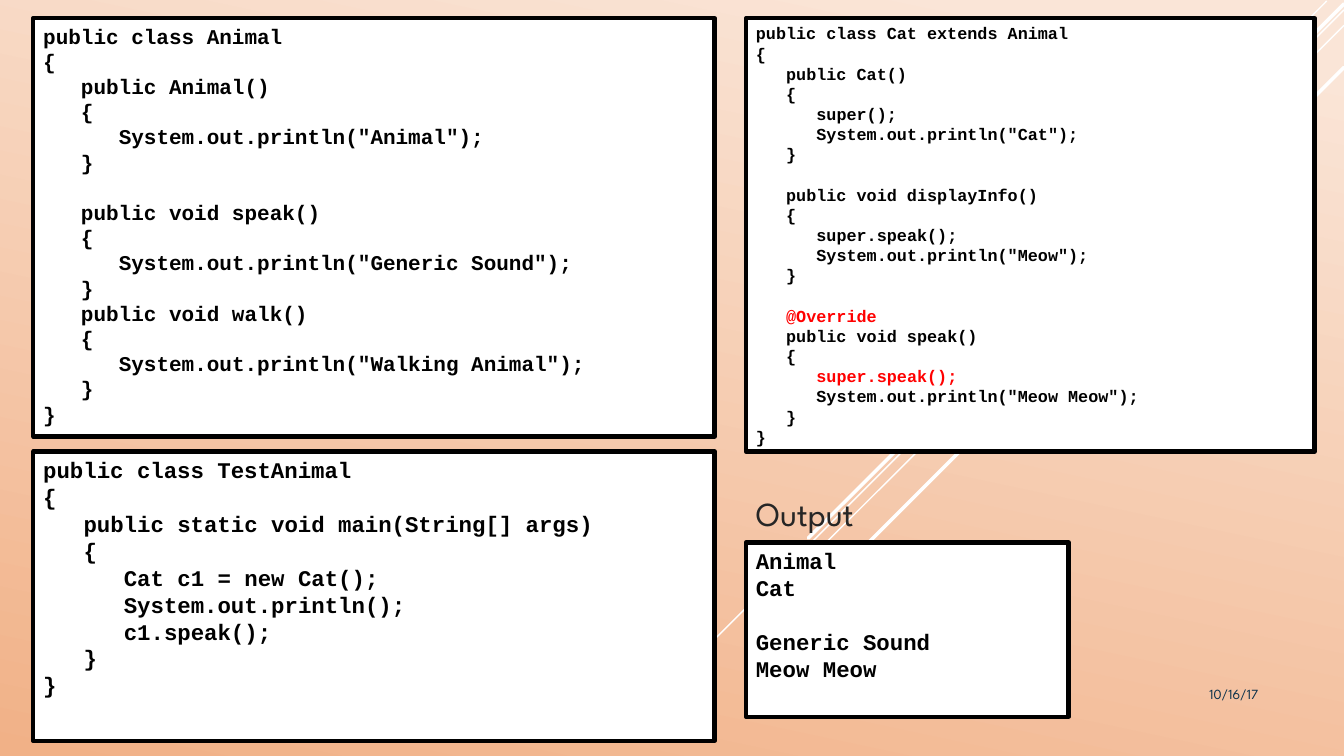
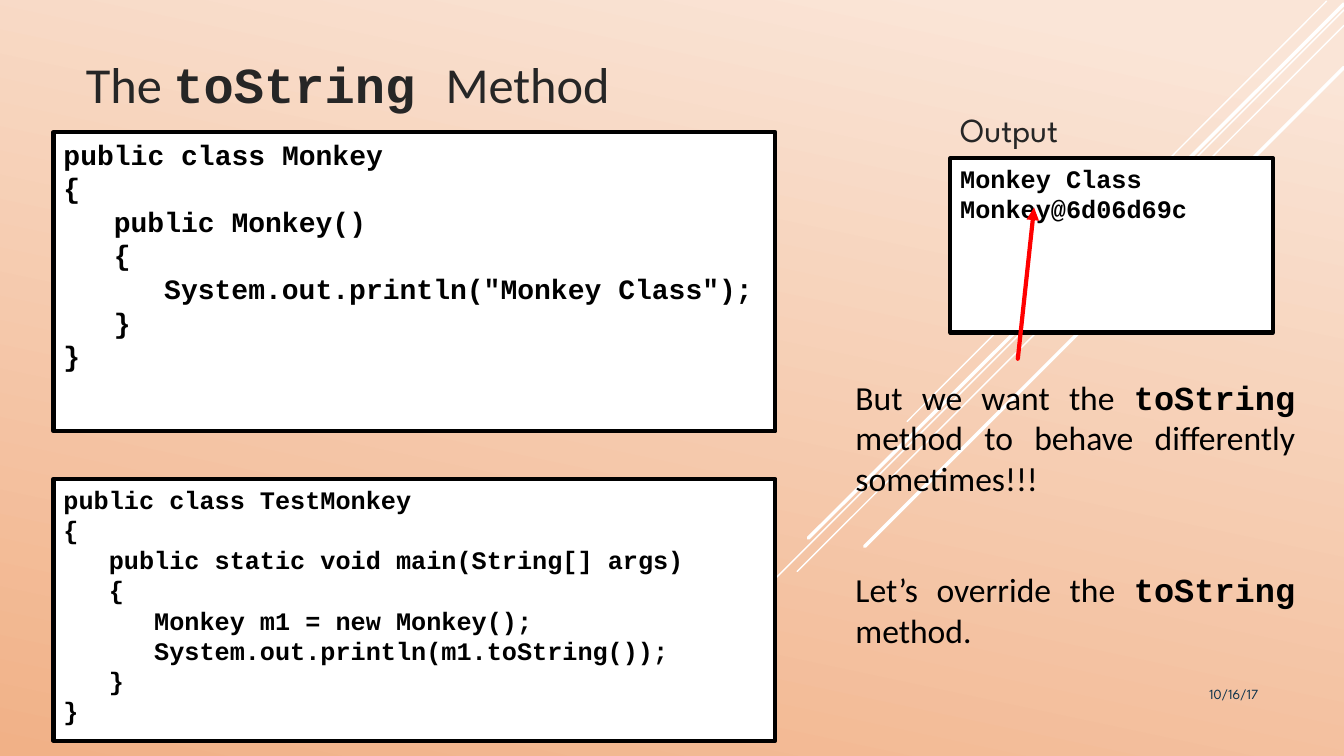
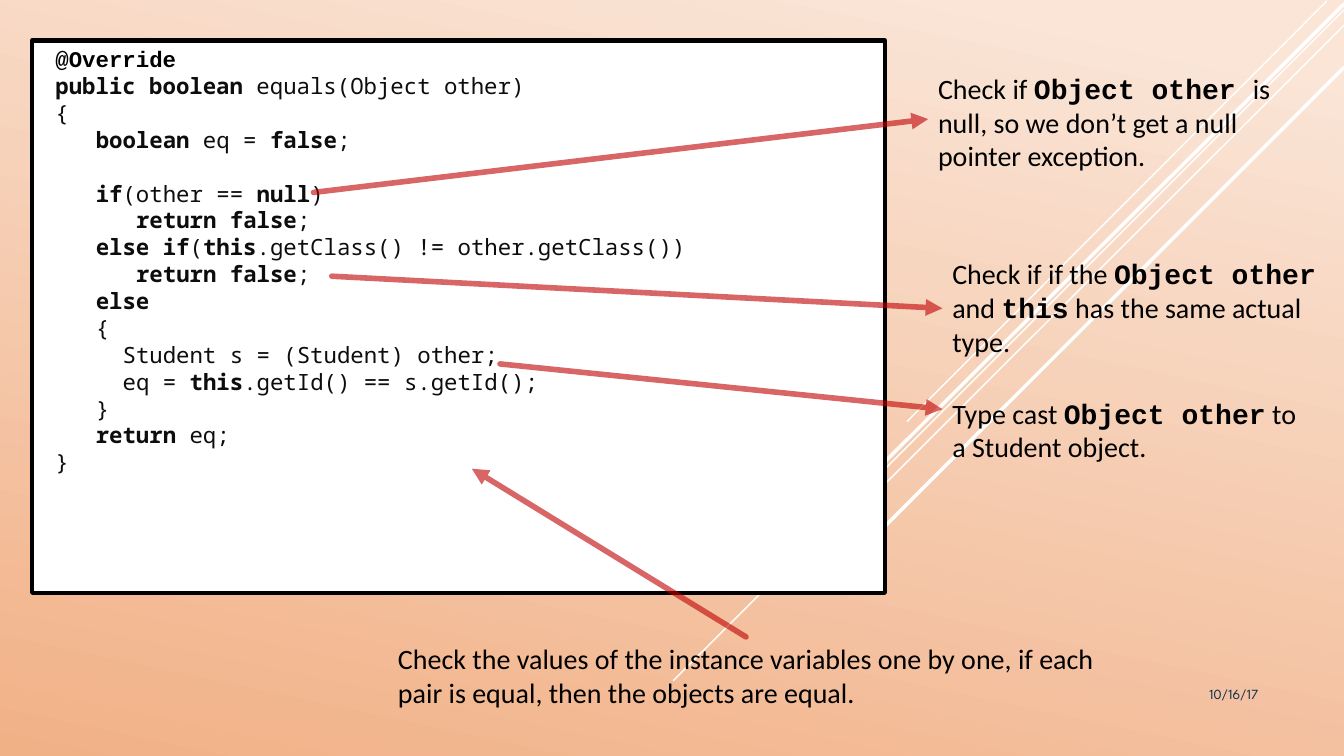
import lxml.etree
import pptx
import pptx.dml.color
import pptx.enum.shapes
import pptx.enum.text
import pptx.oxml.ns
import pptx.util

Cm = pptx.util.Cm
Pt = pptx.util.Pt
ALIGN = pptx.enum.text.PP_ALIGN

# Shared look
WHITE, BLACK, RED, DARK_RED = "FFFFFF", "000000", "FF0000", "C00000"
TITLE_GREY, NEAR_BLACK, DATE_BLUE = "262626", "0D0D0D", "0A304A"
LINE_HEIGHT = 1.2
MONO_ADVANCE = 0.6
CODE = {"name": "Courier New", "bold": True, "color": BLACK}
CODE_RED = {**CODE, "color": RED}
LISTING = {"name": "Noto Sans Mono", "bold": False, "color": NEAR_BLACK}
LISTING_BOLD = {**LISTING, "bold": True}
PROSE = {"name": "Calibri", "bold": False, "color": BLACK}
TITLE = {**PROSE, "color": TITLE_GREY}
TITLE_CODE = {**CODE, "color": TITLE_GREY}
LABEL = {"name": "League Spartan", "color": TITLE_GREY}
DATE = {"name": "League Spartan", "color": DATE_BLUE}

# White diagonal lines behind every slide: start, end, width
DIAGONALS = [
    ((33.43, 0.03), (22.86, 10.62), 1),
    ((33.87, 0.25), (16.97, 17.15), 1),
    ((33.87, 0.64), (20.09, 14.4), 1),
    ((33.87, 0.1), (20.37, 13.56), 2.5),
    ((33.87, 1.7), (21.79, 13.77), 2.5),
]

# Code; bars enclose the parts in the second style
ANIMAL = """
public class Animal
{
   public Animal()
   {
      System.out.println("Animal");
   }

   public void speak()
   {
      System.out.println("Generic Sound");
   }
   public void walk()
   {
      System.out.println("Walking Animal");
   }
}"""

CAT = """
public class Cat extends Animal
{
   public Cat()
   {
      super();
      System.out.println("Cat");
   }

   public void displayInfo()
   {
      super.speak();
      System.out.println("Meow");
   }

   |@Override|
   public void speak()
   {
      |super.speak();|
      System.out.println("Meow Meow");
   }
}"""

TEST_ANIMAL = """
public class TestAnimal
{
   public static void main(String[] args)
   {
      Cat c1 = new Cat();
      System.out.println();
      c1.speak();
   }
}"""

MONKEY = """
public class Monkey
{
   public Monkey()
   {
      System.out.println("Monkey Class");
   }
}"""

TEST_MONKEY = """
public class TestMonkey
{
   public static void main(String[] args)
   {
      Monkey m1 = new Monkey();
      System.out.println(m1.toString());
   }
}"""

EQUALS = """
 @Override
 |public boolean| equals(Object other)
 {
    |boolean| eq = |false|;

    |if|(other == |null|)
       |return false|;
    |else if|(|this|.getClass() != other.getClass())
       |return false|;
    |else|
    {
      Student s = (Student) other;
      eq = |this|.getId() == s.getId();
    }
    |return| eq;
 }"""


def rgb(color):
    return pptx.dml.color.RGBColor.from_string(color)


def style_font(font, values):
    for name, value in values.items():
        if name == "color":
            font.color.rgb = rgb(value)
        else:
            setattr(font, name, value)


def style_paragraph(paragraph, values):
    for name, value in values.items():
        setattr(paragraph, name, value)


def write_runs(paragraph, text, size, plain, marked):
    """Write text, giving the parts between bars the marked style."""
    for index, part in enumerate(text.split("|")):
        if part:
            run = paragraph.add_run()
            run.text = part
            style_font(run.font, {**(marked if index % 2 else plain), "size": Pt(size)})


def next_paragraph(frame, index):
    return frame.add_paragraph() if index else frame.paragraphs[0]


# Kinds of element
def add_line(slide, start, end, color, width, arrow=False, opacity=None):
    connector = slide.shapes.add_connector(
        pptx.enum.shapes.MSO_CONNECTOR.STRAIGHT, *map(Cm, (*start, *end)))
    connector.line.color.rgb = rgb(color)
    connector.line.width = Pt(width)
    qn = pptx.oxml.ns.qn
    outline = connector.get_or_add_ln()
    outline.set("cap", "rnd")
    if opacity:
        fill_color = next(outline.iter(qn("a:srgbClr")))
        lxml.etree.SubElement(fill_color, qn("a:alpha"), val=str(opacity * 1000))
    if arrow:
        lxml.etree.SubElement(outline, qn("a:tailEnd"), type="triangle")
    lxml.etree.SubElement(connector._element.spPr, qn("a:effectLst"))
    return connector


def add_code_box(slide, place, code, size, plain=CODE, marked=CODE_RED):
    shape = slide.shapes.add_shape(
        pptx.enum.shapes.MSO_SHAPE.RECTANGLE, *map(Cm, place))
    shape.shadow.inherit = False
    shape.fill.solid()
    shape.fill.fore_color.rgb = rgb(WHITE)
    shape.line.color.rgb = rgb(BLACK)
    shape.line.width = Pt(3)
    frame = shape.text_frame
    frame.word_wrap = True
    frame.vertical_anchor = pptx.enum.text.MSO_ANCHOR.TOP
    line_height = Pt(size * LINE_HEIGHT)
    index = gap = 0
    for line in code.strip("\n").split("\n"):
        text = line.lstrip()
        if not text:
            gap = line_height
            continue
        paragraph = next_paragraph(frame, index)
        style_paragraph(paragraph, {"alignment": ALIGN.LEFT, "space_before": gap,
                                    "line_spacing": line_height})
        indent = Pt((len(line) - len(text)) * MONO_ADVANCE * size)
        paragraph._p.get_or_add_pPr().set("marL", str(indent))
        write_runs(paragraph, text, size, plain, marked)
        index, gap = index + 1, 0
    return shape


def add_text(slide, place, paragraphs, size, plain=PROSE, alignment=ALIGN.LEFT,
             gap=0, line_height=LINE_HEIGHT):
    frame = slide.shapes.add_textbox(*map(Cm, place)).text_frame
    frame.word_wrap = True
    for index, text in enumerate(paragraphs):
        paragraph = next_paragraph(frame, index)
        style_paragraph(paragraph, {"alignment": alignment,
                                    "space_before": Pt(gap if index else 0)})
        if line_height:
            paragraph.line_spacing = Pt(size * line_height)
        write_runs(paragraph, text, size, plain, CODE)
    return frame


def add_output(slide, left, top, lines, size):
    add_code_box(slide, (left, top, 8.13, 4.39), lines, size)
    frame = add_text(slide, (left, top - 1.37, 4.24, 1.37), ["Output"], 24, LABEL,
                     line_height=None)
    frame.paragraphs[0].space_before = Pt(4.8)


def set_title(slide, place, text):
    title = slide.shapes.title
    title.left, title.top, title.width, title.height = map(Cm, place)
    title.text_frame.vertical_anchor = pptx.enum.text.MSO_ANCHOR.BOTTOM
    paragraph = title.text_frame.paragraphs[0]
    paragraph.alignment = ALIGN.LEFT
    write_runs(paragraph, text, 36, TITLE, TITLE_CODE)


def add_slide(presentation, layout_name):
    layout = presentation.slide_layouts.get_by_name(layout_name)
    slide = presentation.slides.add_slide(layout)
    add_text(slide, (27.51, 17.15, 4.45, 1.02), ["10/16/17"], 10, DATE, ALIGN.RIGHT,
             line_height=None)
    return slide


def decorate_master(presentation, slide):
    """Give the master its gradient, and the diagonals drawn through a slide."""
    master = presentation.slide_master
    fill = master.background.fill
    fill.gradient()
    fill.gradient_angle = 360 - 102
    for stop, position, color in zip(fill.gradient_stops, (0.07, 1), ("FAE5D7", "F1B187")):
        stop.position = position
        stop.color.rgb = rgb(color)
    for start, end, width in DIAGONALS:
        line = add_line(slide, start, end, WHITE, width)
        master.shapes._spTree.append(line._element)


# Slides
def fill_override_slide(slide):
    add_code_box(slide, (0.84, 0.46, 17.17, 10.54), ANIMAL, 15)
    add_code_box(slide, (18.8, 0.46, 14.33, 10.92), CAT, 12)
    add_code_box(slide, (0.84, 11.38, 17.17, 7.29), TEST_ANIMAL, 16)
    add_output(slide, 18.8, 13.67, "Animal\nCat\n\nGeneric Sound\nMeow Meow", 16)


def fill_to_string_slide(slide):
    set_title(slide, (1.91, 0.38, 27.43, 2.62), "The |toString |Method")
    add_code_box(slide, (1.35, 3.33, 18.19, 7.54), MONKEY, 20)
    add_code_box(slide, (1.35, 12.07, 18.19, 6.6), TEST_MONKEY, 18)
    add_output(slide, 23.95, 3.99, "Monkey Class\nMonkey@6d06d69c", 18)
    add_text(slide, (21.31, 9.37, 11.58, 7.77),
             ["But we want the |toString| method to behave differently sometimes!!!",
              "Let’s override the |toString| method."],
             24, alignment=ALIGN.JUSTIFY, gap=51)
    add_line(slide, (25.65, 9.04), (26.06, 5.23), RED, 3, arrow=True)


def fill_equals_slide(slide):
    listing = add_code_box(slide, (0.81, 1.02, 21.49, 13.92), EQUALS, 16,
                           LISTING, LISTING_BOLD)
    style_font(listing.text_frame.paragraphs[0].runs[0].font, CODE)
    captions = [
        ((23.39, 1.68, 10.03, 2.82),
         "Check if |Object other |is null, so we don’t get a null pointer exception."),
        ((23.75, 6.35, 9.7, 2.82),
         "Check if if the |Object other |and |this| has the same actual type."),
        ((23.75, 9.86, 9.17, 1.96), "Type cast |Object other| to a Student object."),
        ((9.78, 16.05, 18.06, 1.96),
         "Check the values of the instance variables one by one, "
         "if each pair is equal, then the objects are equal."),
    ]
    for place, text in captions:
        add_text(slide, place, [text], 20)
    arrows = [
        ((7.9, 4.85), (23.39, 3)),
        ((8.36, 6.96), (23.75, 7.77)),
        ((12.6, 9.17), (23.75, 10.31)),
        ((18.8, 16.05), (11.89, 11.81)),
    ]
    for start, end in arrows:
        add_line(slide, start, end, DARK_RED, 4, arrow=True, opacity=60)


def main():
    presentation = pptx.Presentation()
    presentation.slide_width = Cm(33.87)
    presentation.slide_height = Cm(19.05)
    override_slide = add_slide(presentation, "Blank")
    decorate_master(presentation, override_slide)
    fill_override_slide(override_slide)
    fill_to_string_slide(add_slide(presentation, "Title Only"))
    fill_equals_slide(add_slide(presentation, "Blank"))
    presentation.save("out.pptx")


main()
